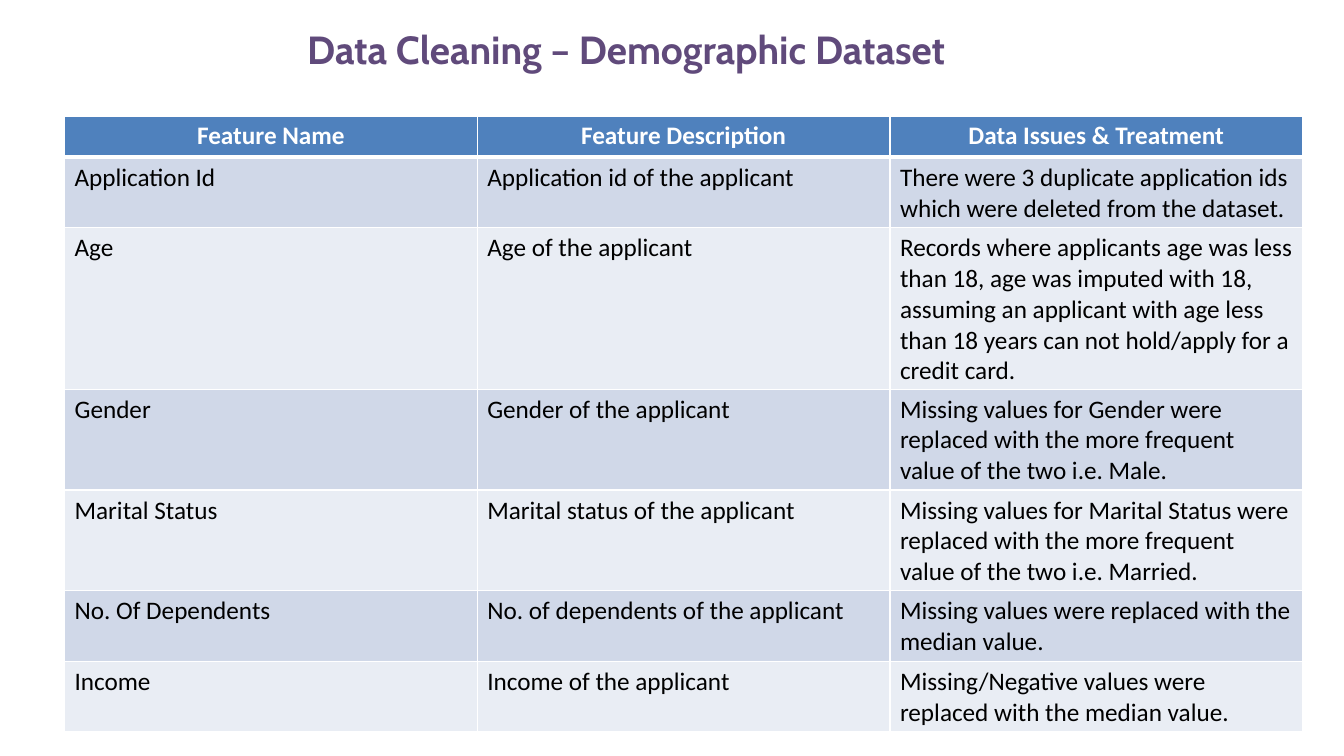
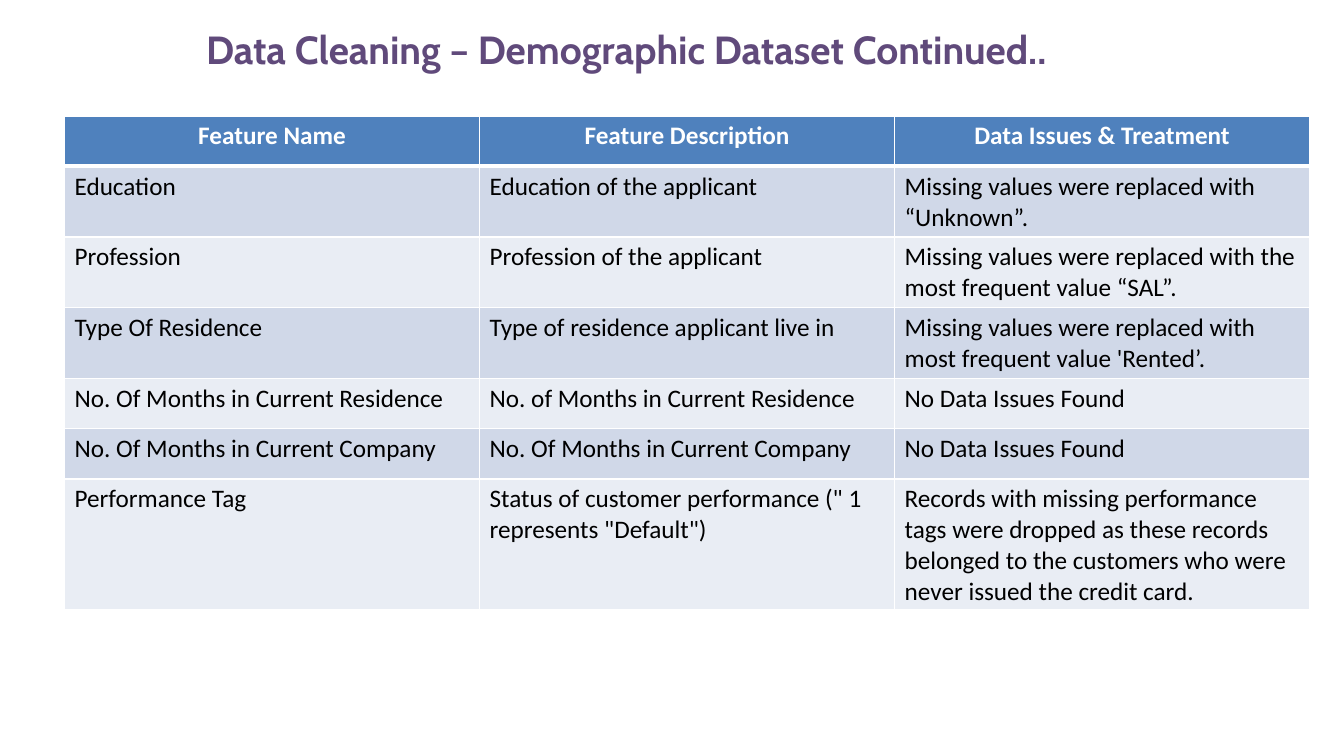
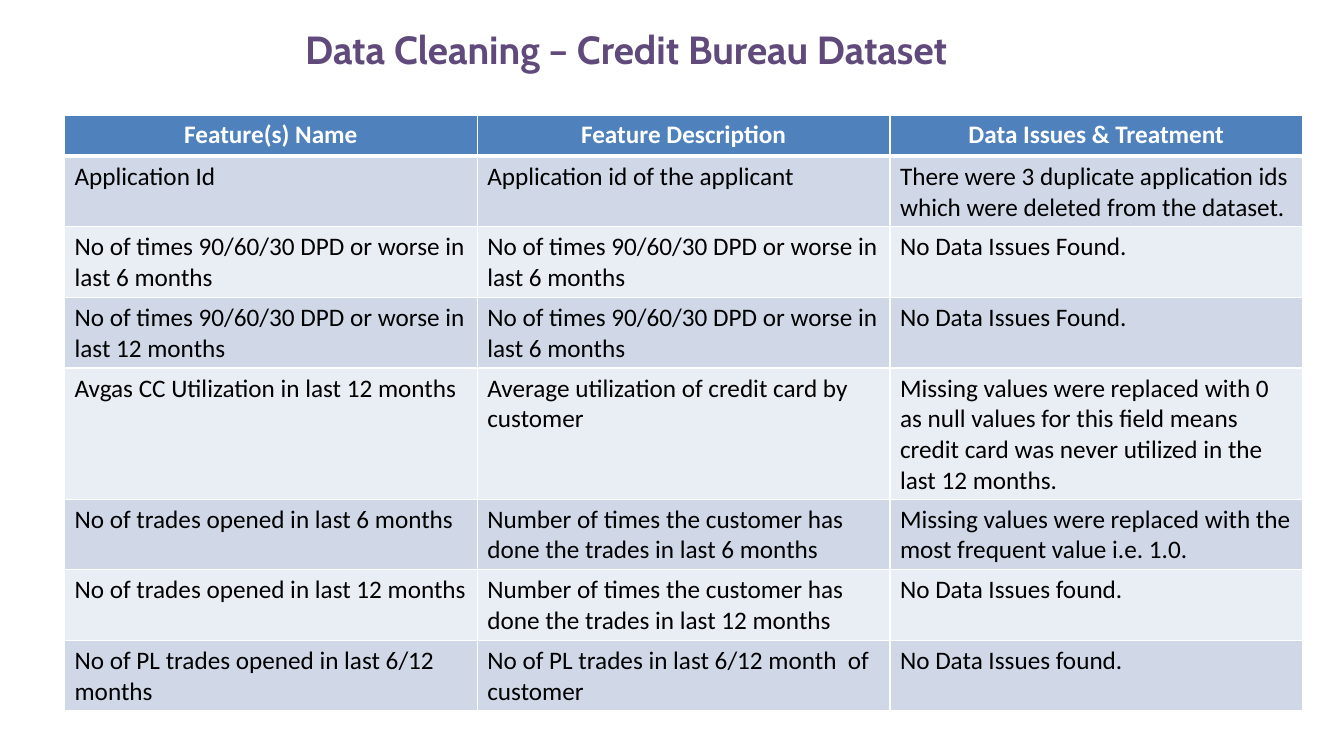
from lxml.etree import SubElement as sub
from pptx import Presentation
from pptx.dml.color import RGBColor
from pptx.enum.text import MSO_ANCHOR as Anchor, MSO_AUTO_SIZE as Fit, PP_ALIGN as Align
from pptx.oxml.ns import qn
from pptx.util import Inches, Pt

# Shared look
WHITE, BLACK, PURPLE, BLUE = "FFFFFF", "000000", "604A7B", "4F81BD"
BANDS = ["D0D8E8", "E9EDF4"]
MID = 6.21  # centre line of the titles
LEFT = 0.64

# Slide content
HEADS = ["Feature Description", "Data Issues & Treatment"]
ID_ROW = ["Application Id", "Application id of the applicant",
          "There were 3 duplicate application ids which were deleted from the dataset."]

PERSON = [
    ["Feature Name", *HEADS],
    ID_ROW,
    ["Age", "Age of the applicant",
     "Records where applicants age was less than 18, age was imputed with 18, assuming "
     "an applicant with age less than 18 years can not hold/apply for a credit card."],
    ["Gender", "Gender of the applicant",
     "Missing values for Gender were replaced with the more frequent value of the two "
     "i.e. Male."],
    ["Marital Status", "Marital status of the applicant",
     "Missing values for Marital Status were replaced with the more frequent value of "
     "the two i.e. Married."],
    ["No. Of Dependents", "No. of dependents of the applicant",
     "Missing values were replaced with the median value."],
    ["Income", "Income of the applicant",
     "Missing/Negative values were replaced with the median value."],
]

STATUS = [
    ["Feature Name", *HEADS],
    ["Education", "Education of the applicant",
     "Missing values were replaced with “Unknown”."],
    ["Profession", "Profession of the applicant",
     "Missing values were replaced with the most frequent value “SAL”."],
    ["Type Of Residence", "Type of residence applicant live in",
     "Missing values were replaced with most frequent value 'Rented’."],
    ["No. Of Months in Current Residence", "No. of Months in Current Residence",
     "No Data Issues Found"],
    ["No. Of Months in Current Company", "No. Of Months in Current Company",
     "No Data Issues Found"],
    ["Performance Tag", 'Status of customer performance (" 1 represents "Default")',
     "Records with missing performance tags were dropped as these records belonged to "
     "the customers who were never issued the credit card."],
]

CREDIT = [
    ["Feature(s) Name", *HEADS],
    ID_ROW,
    ["No of times 90/60/30 DPD or worse in last 6 months",
     "No of times 90/60/30 DPD or worse in last 6 months", "No Data Issues Found."],
    ["No of times 90/60/30 DPD or worse in last 12 months",
     "No of times 90/60/30 DPD or worse in last 6 months", "No Data Issues Found."],
    ["Avgas CC Utilization in last 12 months",
     "Average utilization of credit card by customer",
     "Missing values were replaced with 0 as null values for this field means credit "
     "card was never utilized in the last 12 months."],
    ["No of trades opened in last 6 months",
     "Number of times the customer has done the trades in last 6 months",
     "Missing values were replaced with the most frequent value i.e. 1.0."],
    ["No of trades opened in last 12 months",
     "Number of times the customer has done the trades in last 12 months",
     "No Data Issues found."],
    ["No of PL trades opened in last 6/12 months",
     "No of PL trades in last 6/12 month  of customer", "No Data Issues found."],
]


def color(code):
    return RGBColor.from_string(code)


def style(para, name, size, code, bold):
    font = para.font
    font.name, font.size, font.bold = name, Pt(size), bold
    font.color.rgb = color(code)


def add_title(slide, text, width):
    title = slide.shapes.title
    title.left, title.top = Inches(MID - width / 2), Inches(0.25)
    title.width, title.height = Inches(width), Inches(0.53)
    frame = title.text_frame
    frame.text = text
    frame.word_wrap = False
    frame.auto_size = Fit.SHAPE_TO_FIT_TEXT
    frame.vertical_anchor = Anchor.TOP
    para = frame.paragraphs[0]
    para.alignment, para.line_spacing = Align.CENTER, 0.9
    style(para, "Cabin", 28, PURPLE, True)


def add_edges(cell, top, bottom):
    props = cell._tc.get_or_add_tcPr()
    for side, width in (("L", 1), ("R", 1), ("T", top), ("B", bottom)):
        line = sub(props, qn(f"a:ln{side}"), w=str(Pt(width)))
        sub(sub(line, qn("a:solidFill")), qn("a:srgbClr"), val=WHITE)


def fill_cell(cell, text, row):
    head = row == 0
    # Thick rule between the header and the body
    add_edges(cell, 3 if row == 1 else 1, 3 if head else 1)
    cell.fill.solid()
    cell.fill.fore_color.rgb = color(BLUE if head else BANDS[(row - 1) % 2])
    cell.text = text
    para = cell.text_frame.paragraphs[0]
    para.alignment = Align.CENTER if head else Align.LEFT
    style(para, "Calibri", 18, WHITE if head else BLACK, head)


def add_grid(slide, rows, top, width, height):
    """Add a table whose rows start at one height and grow with their text."""
    count = len(rows)
    table = slide.shapes.add_table(
        count, len(rows[0]), Inches(LEFT), Inches(top),
        Inches(width), Inches(height * count)).table
    for r, row in enumerate(rows):
        for c, text in enumerate(row):
            fill_cell(table.cell(r, c), text, r)


def main():
    deck = Presentation()
    deck.slide_width, deck.slide_height = Inches(13.33), Inches(7.5)
    # Title, title width, rows, table top, table width, row height
    pages = [
        ("Data Cleaning – Demographic Dataset", 7.48, PERSON, 1.15, 12.28, 0.41),
        ("Data Cleaning – Demographic Dataset Continued..", 9.83, STATUS, 1.15, 12.35, 0.5),
        ("Data Cleaning – Credit Bureau Dataset", 7.54, CREDIT, 1.14, 12.28, 0.41),
    ]
    for text, span, rows, top, width, height in pages:
        slide = deck.slides.add_slide(deck.slide_layouts[5])
        add_title(slide, text, span)
        add_grid(slide, rows, top, width, height)
    deck.save("out.pptx")


if __name__ == "__main__":
    main()
